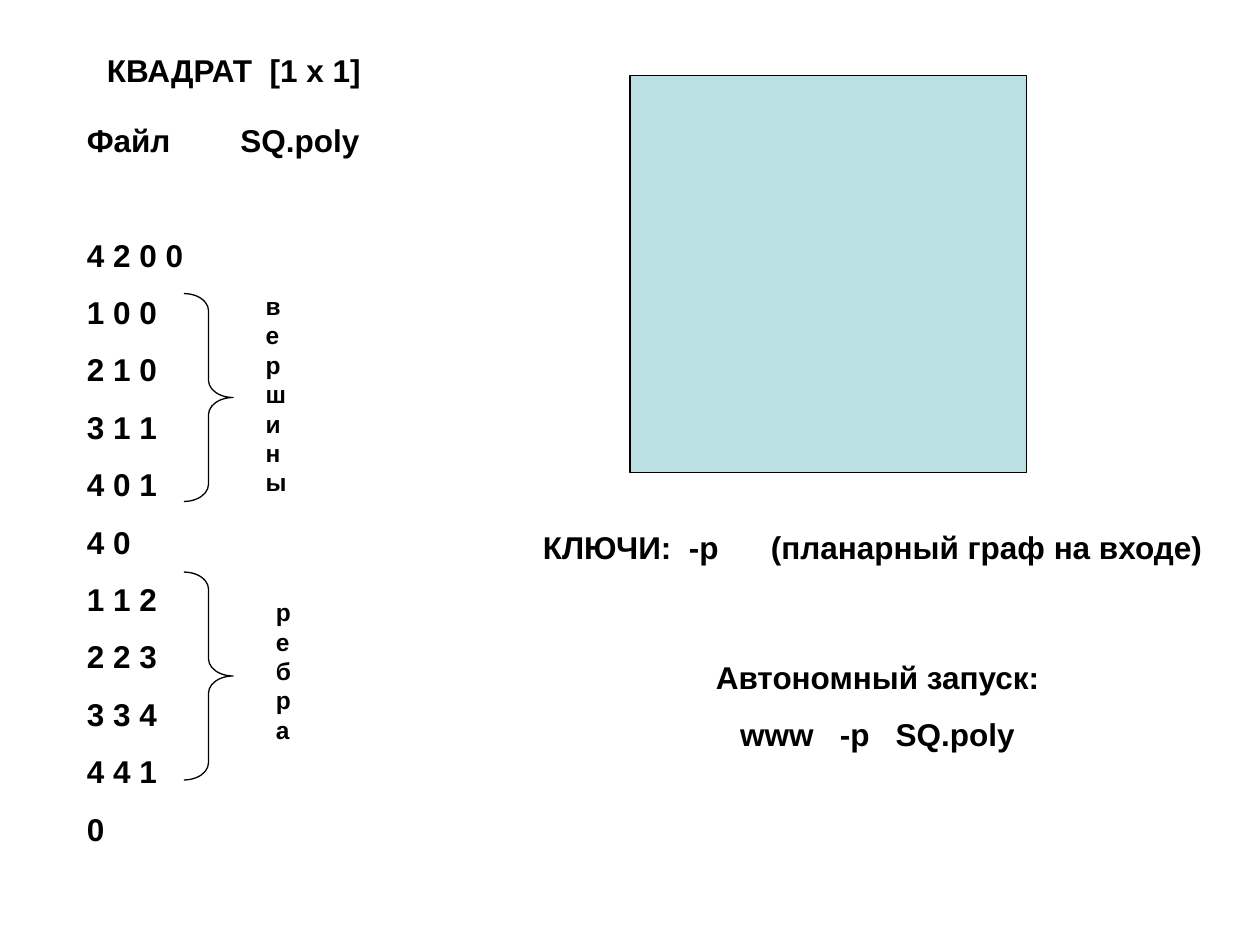
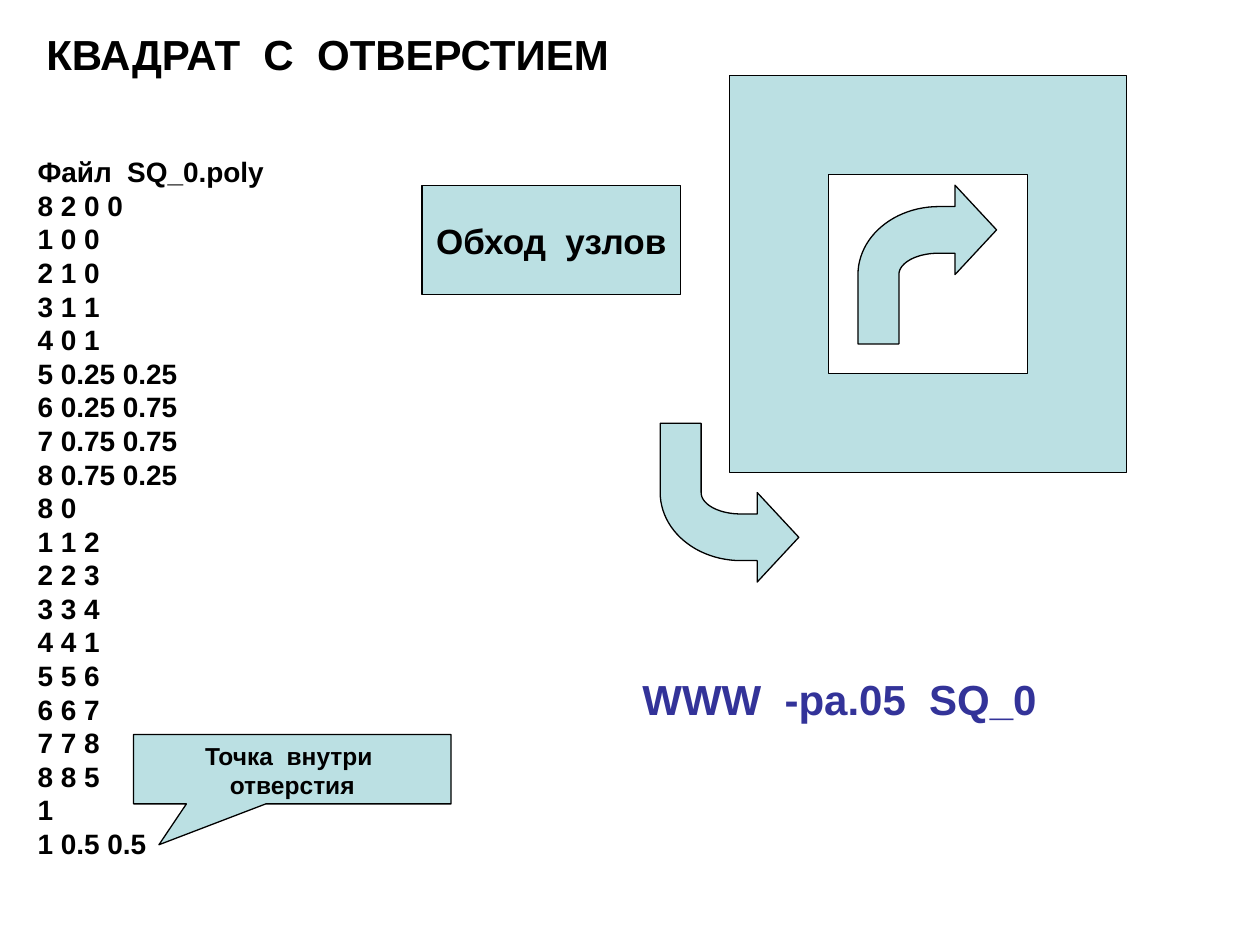
from dataclasses import dataclass
from math import cos, pi, sin

from lxml import etree
from pptx import Presentation
from pptx import util as u
from pptx.dml.color import RGBColor
from pptx.enum import shapes, text
from pptx.oxml import ns

COLUMNS, ROWS = 100, 75
LINE_HEIGHT = 1.2
SQUARE_SIDE = 31.5
SQUARE_TOP = 6


@dataclass(frozen=True)
class Theme:
    font: str = "Arial"
    ink: RGBColor = RGBColor(0x00, 0x00, 0x00)
    accent: RGBColor = RGBColor(0x33, 0x33, 0x99)
    fill: RGBColor = RGBColor(0xBB, 0xE0, 0xE3)
    paper: RGBColor = RGBColor(0xFF, 0xFF, 0xFF)
    title: int = 24
    box: int = 20
    body: int = 18
    listing: int = 16
    label: int = 14
    line: float = 0.75


class Deck:
    """Holds the style and the current slide; lengths are grid cells."""

    def __init__(self, theme):
        self.theme = theme
        self.presentation = Presentation()
        self.presentation.slide_width = u.Inches(10)
        self.presentation.slide_height = u.Inches(7.5)
        self.slide = None

    def new_slide(self):
        self.slide = self.presentation.slides.add_slide(self.presentation.slide_layouts[6])

    def x(self, columns):
        return round(self.presentation.slide_width * columns / COLUMNS)

    def y(self, rows):
        return round(self.presentation.slide_height * rows / ROWS)

    def frame(self, left, top, width, height):
        return self.x(left), self.y(top), self.x(width), self.y(height)

    def style(self, shape, fill):
        shape.shadow.inherit = False
        if fill is None:
            shape.fill.background()
        else:
            shape.fill.solid()
            shape.fill.fore_color.rgb = fill
        shape.line.color.rgb = self.theme.ink
        shape.line.width = u.Pt(self.theme.line)
        return shape

    def set_lines(self, shape, lines, size, color=None, centered=False, gap=0, gaps=None, tab=None):
        """Fill a shape with lines; gaps overrides the space before some of them."""
        for index, line in enumerate(lines):
            frame = shape.text_frame
            paragraph = frame.add_paragraph() if index else frame.paragraphs[0]
            paragraph.text = line
            paragraph.alignment = text.PP_ALIGN.CENTER if centered else text.PP_ALIGN.LEFT
            paragraph.line_spacing = u.Pt(size * LINE_HEIGHT)
            paragraph.space_before = u.Pt((gaps or {}).get(index, gap) if index else 0)
            if "\t" in line:
                stops = etree.SubElement(paragraph._p.get_or_add_pPr(), ns.qn("a:tabLst"))
                etree.SubElement(stops, ns.qn("a:tab"), pos=str(self.x(tab)), algn="l")
            font = paragraph.font
            font.name, font.size, font.bold = self.theme.font, u.Pt(size), True
            font.color.rgb = color or self.theme.ink

    def text(self, place, lines, size, **options):
        box = self.slide.shapes.add_textbox(*self.frame(*place))
        box.text_frame.word_wrap = True
        self.set_lines(box, lines, size, **options)

    def shape(self, kind, place, fill=None, adjustments=()):
        shape = self.slide.shapes.add_shape(kind, *self.frame(*place))
        for index, value in enumerate(adjustments):
            shape.adjustments[index] = value
        return self.style(shape, fill)

    def square(self, left, top, side, fill):
        self.shape(shapes.MSO_SHAPE.RECTANGLE, (left, top, side, side), fill)

    def brace(self, top):
        place = (14.6, top, 3.9, 16.5)
        self.shape(shapes.MSO_SHAPE.RIGHT_BRACE, place, adjustments=(0.35, 0.5))

    def bent_arrow(self, left, top, flipped=False):
        """A shaft that turns a quarter to the right and ends in a head."""
        height, bend_x, bend_y = 12.6, 6.4, 7.1
        angles = [step * pi / 48 for step in range(25)]

        def quarter(radius_x, radius_y):
            return [(bend_x - radius_x * cos(a), bend_y - radius_y * sin(a)) for a in angles]

        head = [(7.7, 1.7), (7.7, 0), (11, 3.55), (7.7, 7.1), (7.7, 5.4)]
        outline = [(0, height), *quarter(6.4, 5.4), *head,
                   *reversed(quarter(3.15, 1.7)), (3.25, height)]
        points = [(self.x(left + x), self.y(top + (height - y if flipped else y)))
                  for x, y in outline]
        builder = self.slide.shapes.build_freeform(*points[0])
        builder.add_line_segments(points[1:], close=True)
        self.style(builder.convert_to_shape(), self.theme.fill)


VERTICES = ["1 0 0", "2 1 0", "3 1 1", "4 0 1"]
EDGES = ["1 1 2", "2 2 3", "3 3 4", "4 4 1"]


def square_slide(deck):
    theme = deck.theme
    deck.new_slide()
    deck.square(50, SQUARE_TOP, SQUARE_SIDE, theme.fill)

    # File listing
    deck.text((7.5, 3.6, 33.9, 4), ["КВАДРАТ  [1 x 1]"], theme.body)
    listing = ["Файл\tSQ.poly", "4 2 0 0", *VERTICES, "4 0", *EDGES, "0"]
    deck.text((5.9, 9.1, 33.1, 58.8), listing, theme.body, gap=11.2, gaps={1: 44}, tab=12.2)

    # Run options
    deck.text((42.1, 41.4, 55.1, 4), ["КЛЮЧИ:  -p\t(планарный граф на входе)"],
              theme.body, tab=18.1)
    deck.text((41.3, 51.7, 56.7, 8.6), ["Автономный запуск:", "www   -p   SQ.poly"],
              theme.body, centered=True, gap=11.2)

    # Braces; the narrow labels break after each letter
    for top in (23.3, 45.4):
        deck.brace(top)
    deck.text((20.1, 22.6, 3.2, 17.4), ["вершины"], theme.label)
    deck.text((20.9, 46.9, 3.2, 12.7), ["ребра"], theme.label)


def hole_slide(deck):
    theme = deck.theme
    deck.new_slide()
    deck.text((2.7, 1.8, 50.4, 5), ["КВАДРАТ  С  ОТВЕРСТИЕМ"], theme.title)

    # Square with a centred hole half its size
    left, inset = 57.9, SQUARE_SIDE / 4
    deck.square(left, SQUARE_TOP, SQUARE_SIDE, theme.fill)
    deck.square(left + inset, SQUARE_TOP + inset, SQUARE_SIDE / 2, theme.paper)

    # File listing
    hole_vertices = ["5 0.25 0.25", "6 0.25 0.75", "7 0.75 0.75", "8 0.75 0.25"]
    hole_edges = ["5 5 6", "6 6 7", "7 7 8", "8 8 5"]
    listing = ["Файл  SQ_0.poly", "8 2 0 0", *VERTICES, *hole_vertices,
               "8 0", *EDGES, *hole_edges, "1", "1 0.5 0.5"]
    deck.text((2, 11.8, 43.3, 57), listing, theme.listing)

    # Note on the point in the hole
    note = deck.shape(shapes.MSO_SHAPE.RECTANGULAR_CALLOUT, (10.6, 58.3, 25.2, 5.5),
                      theme.fill, (-0.42, 1.09))
    note.text_frame.word_wrap = True
    note.text_frame.vertical_anchor = text.MSO_ANCHOR.TOP
    deck.set_lines(note, ["Точка  внутри  отверстия"], theme.label, centered=True)

    # Command
    deck.text((50, 53, 46.5, 5), ["WWW  -pa.05  SQ_0"], theme.title, color=theme.accent)

    # Direction of the walk round the nodes
    deck.bent_arrow(68.1, 14.7)
    deck.bent_arrow(52.4, 33.6, flipped=True)
    walk = deck.shape(shapes.MSO_SHAPE.RECTANGLE, (33.5, 14.7, 20.5, 8.7), theme.fill)
    walk.text_frame.word_wrap = False
    walk.text_frame.vertical_anchor = text.MSO_ANCHOR.MIDDLE
    deck.set_lines(walk, ["Обход  узлов"], theme.box, centered=True)


def main():
    deck = Deck(Theme())
    square_slide(deck)
    hole_slide(deck)
    deck.presentation.save("out.pptx")


if __name__ == "__main__":
    main()
